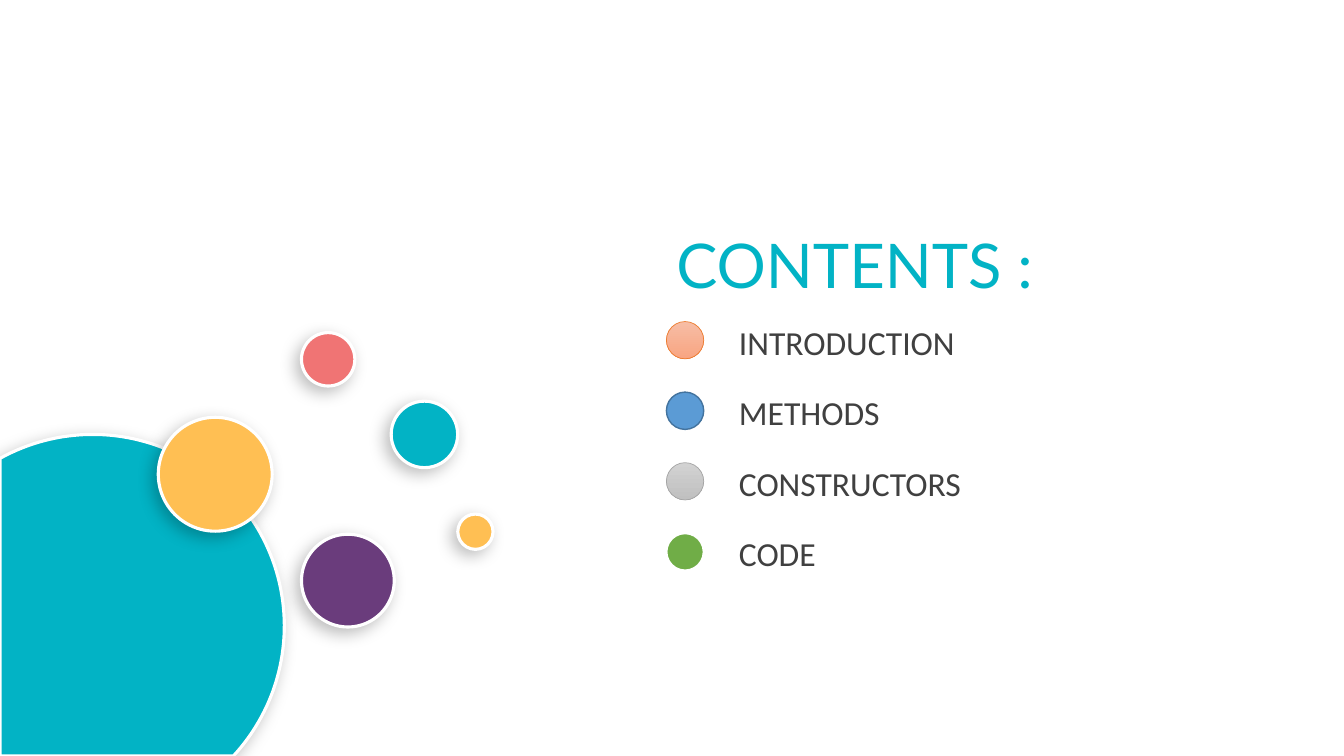
from dataclasses import dataclass
from math import acos, asin, cos, pi, sin
from typing import Optional

from lxml import etree
from pptx import Presentation
from pptx.dml.color import RGBColor
from pptx.enum.shapes import MSO_SHAPE
from pptx.enum.text import MSO_AUTO_SIZE
from pptx.oxml.ns import qn
from pptx.util import Inches, Pt

OVAL = MSO_SHAPE.OVAL
GROW = MSO_AUTO_SIZE.SHAPE_TO_FIT_TEXT


@dataclass(frozen=True)
class Theme:
    teal: str = "02B3C5"
    purple: str = "6A3C7C"
    amber: str = "FFBF53"
    coral: str = "F07474"
    white: str = "FFFFFF"
    text: str = "404040"
    shadow: str = "000000"
    peach_top: str = "F7BDA5"
    peach_bottom: str = "F8A582"
    orange: str = "ED7D31"
    blue: str = "5B9BD5"
    dark_blue: str = "43739E"
    silver_top: str = "D2D2D2"
    silver_bottom: str = "C0C0C0"
    gray: str = "A5A5A5"
    green: str = "70AD47"
    title_font: str = "Lato"
    body_font: str = "Calibri"
    title_size: int = 44
    body_size: int = 24
    bubble_line: float = 2.25


@dataclass(frozen=True)
class Bubble:
    left: float
    top: float
    size: float
    fill: str


@dataclass(frozen=True)
class Item:
    label: str
    fill: str
    line: str
    width: float
    fill_end: Optional[str] = None


THEME = Theme()
SLIDE_W, SLIDE_H = 13.33, 7.5

# Large circle, cut by the left and bottom slide edges
DISC_X, DISC_Y, DISC_R = 0.92, 6.21, 1.9
ARC_STEPS = 90

BUBBLES = [
    Bubble(2.99, 5.3, 0.92, THEME.purple),
    Bubble(3.88, 3.98, 0.66, THEME.teal),
    Bubble(1.57, 4.14, 1.13, THEME.amber),
    Bubble(2.99, 3.3, 0.53, THEME.coral),
    Bubble(4.54, 5.1, 0.35, THEME.amber),
]

ITEMS = [
    Item("INTRODUCTION", THEME.peach_top, THEME.orange, 0.5, THEME.peach_bottom),
    Item("METHODS", THEME.blue, THEME.dark_blue, 1),
    Item("CONSTRUCTORS", THEME.silver_top, THEME.gray, 0.5, THEME.silver_bottom),
    Item("CODE", THEME.green, THEME.white, 1.5),
]
LIST_LEFT, LIST_TOP, ROW_PITCH = 6.61, 3.14, 0.7
DOT_SIZE, DOT_DROP, LABEL_LEFT = 0.37, 0.05, 7.23


def rgb(color: str) -> RGBColor:
    return RGBColor.from_string(color)


def style(sp, fill: str, line: str, width: float, fill_end: Optional[str] = None) -> None:
    sp.shadow.inherit = False
    if fill_end:
        sp.fill.gradient()
        sp.fill.gradient_angle = 270
        for stop, color in zip(sp.fill.gradient_stops, (fill, fill_end)):
            stop.color.rgb = rgb(color)
    else:
        sp.fill.solid()
        sp.fill.fore_color.rgb = rgb(fill)
    sp.line.color.rgb = rgb(line)
    sp.line.width = Pt(width)


def add_shadow(sp) -> None:
    effects = sp._element.spPr.find(qn("a:effectLst"))
    outer = etree.SubElement(
        effects, qn("a:outerShdw"), blurRad=str(Pt(12)), dist=str(Pt(5)),
        dir=str(135 * 60000), algn="tr", rotWithShape="0")
    color = etree.SubElement(outer, qn("a:srgbClr"), val=THEME.shadow)
    etree.SubElement(color, qn("a:alpha"), val="26000")


def add_circle(s, left: float, top: float, size: float):
    return s.shapes.add_shape(OVAL, Inches(left), Inches(top), Inches(size), Inches(size))


def add_disc(s) -> None:
    start = pi + acos(DISC_X / DISC_R)
    end = 2 * pi + asin((SLIDE_H - DISC_Y) / DISC_R)
    angles = [start + (end - start) * i / ARC_STEPS for i in range(ARC_STEPS + 1)]
    arc = [(Inches(DISC_X + DISC_R * cos(a)), Inches(DISC_Y + DISC_R * sin(a)))
           for a in angles]
    builder = s.shapes.build_freeform(0, Inches(SLIDE_H))
    builder.add_line_segments(arc, close=True)
    sp = builder.convert_to_shape()
    style(sp, THEME.teal, THEME.white, THEME.bubble_line)
    add_shadow(sp)


def add_bubble(s, bubble: Bubble) -> None:
    sp = add_circle(s, bubble.left, bubble.top, bubble.size)
    style(sp, bubble.fill, THEME.white, THEME.bubble_line)
    add_shadow(sp)


def add_text(s, text: str, left: float, top: float, width: float, height: float,
             font: str, size: int, color: str) -> None:
    sp = s.shapes.add_textbox(Inches(left), Inches(top), Inches(width), Inches(height))
    tf = sp.text_frame
    tf.word_wrap = True
    tf.auto_size = GROW
    tf.text = text
    r = tf.paragraphs[0].runs[0]
    r.font.name = font
    r.font.size = Pt(size)
    r.font.color.rgb = rgb(color)


def add_item(s, item: Item, top: float) -> None:
    add_text(s, item.label, LABEL_LEFT, top, 4.65, 0.5,
             THEME.body_font, THEME.body_size, THEME.text)
    dot = add_circle(s, LIST_LEFT, top + DOT_DROP, DOT_SIZE)
    style(dot, item.fill, item.line, item.width, item.fill_end)


prs = Presentation()
prs.slide_width, prs.slide_height = Inches(SLIDE_W), Inches(SLIDE_H)
s = prs.slides.add_slide(prs.slide_layouts[6])

# Decorative circles
add_disc(s)
for bubble in BUBBLES:
    add_bubble(s, bubble)

# Heading and contents list
add_text(s, "CONTENTS :", LIST_LEFT, 2.2, 3.77, 0.84,
         THEME.title_font, THEME.title_size, THEME.teal)
for row, item in enumerate(ITEMS):
    add_item(s, item, LIST_TOP + row * ROW_PITCH)

prs.save("out.pptx")
